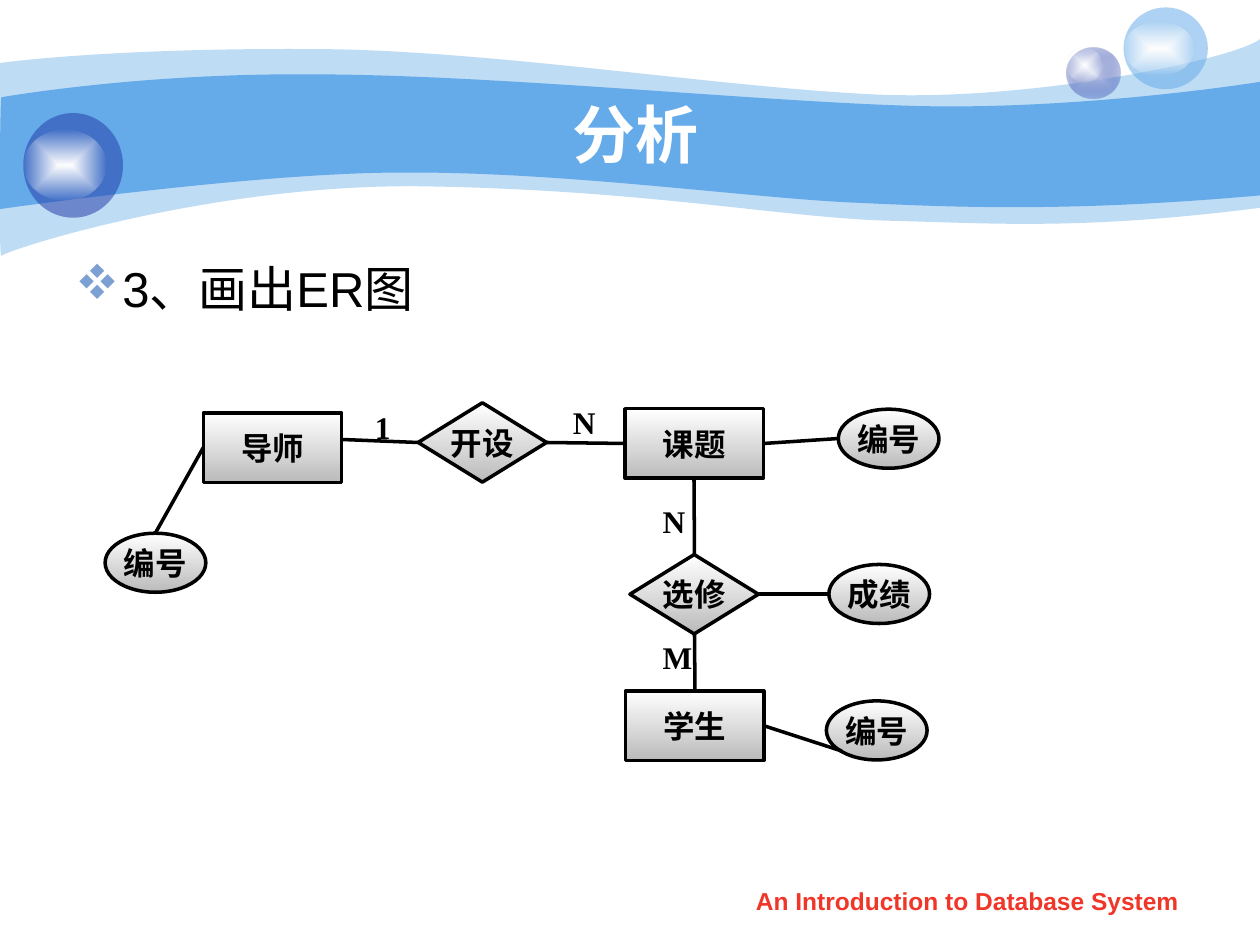
"""Build the slide that draws the ER diagram of tutors, topics and students."""
from dataclasses import dataclass
from typing import Optional

from lxml.etree import SubElement
from pptx import Presentation
from pptx.dml.color import RGBColor
from pptx.enum.shapes import MSO_CONNECTOR, MSO_SHAPE
from pptx.enum.text import MSO_ANCHOR, MSO_AUTO_SIZE, PP_ALIGN
from pptx.oxml.ns import qn
from pptx.util import Cm, Pt

SKY, NAVY, BLACK, WHITE = "65AAE9", "233DA9", "000000", "FFFFFF"
SERIF = "Times New Roman"
LINE_WIDTH = Pt(2)
GLOW = ((WHITE, 100), (WHITE, 0))
NODE_SHADE = ((WHITE, 100), ("BBBBBB", 100))


@dataclass
class Band:
    top: list
    rest: list
    opacity: int


@dataclass
class Bubble:
    box: tuple
    glow_box: tuple
    stops: tuple


@dataclass
class NodeStyle:
    outline: MSO_SHAPE
    width: float
    height: float


@dataclass
class Node:
    label: str
    style: NodeStyle
    left: float
    top: float


@dataclass
class Cardinality:
    label: str
    left: float
    top: float
    width: float


ENTITY = NodeStyle(MSO_SHAPE.RECTANGLE, 2.79, 1.4)
RELATION = NodeStyle(MSO_SHAPE.DIAMOND, 2.59, 1.6)
ATTRIBUTE = NodeStyle(MSO_SHAPE.OVAL, 2.03, 1.19)

BANDS = [
    Band([(0, 1.27), (0.61, 1.19), (2.72, 0.97), (6.27, 0.99), (9.8, 0.99),
          (14.61, 1.78), (17.75, 1.91), (20.88, 2.03), (24.89, 1.19), (25.4, 0.79)],
         [(25.4, 4.19), (21.79, 4.65), (19.99, 4.5), (17.91, 4.45), (15.8, 4.39),
          (13.08, 3.84), (8.71, 3.76), (4.37, 3.66), (0.1, 5.05), (0.03, 5.16),
          (-0.03, 5.28), (0, 1.9), (0, 1.27)], 41),
    Band([(0.03, 1.96), (0.05, 1.96), (2.79, 1.47), (6.3, 1.5), (9.8, 1.5),
          (15.11, 2.03), (18.24, 2.13), (21.36, 2.24), (24.79, 1.75), (25.4, 1.65)],
         [(25.4, 3.94), (21.67, 4.27), (19.43, 4.19), (17.32, 4.09), (15.21, 4.01),
          (11.35, 3.45), (8.05, 3.48), (5.16, 3.48), (-0.05, 4.22), (-0.03, 4.22),
          (0, 4.22), (0, 1.96), (0.03, 1.96)], 100),
]
BUBBLES = [
    Bubble((21.51, 0.97, 1.07, 1.02), (21.51, 0.97, 0.71, 0.69), (("C7CEE9", 100), (NAVY, 31))),
    Bubble((22.65, 0.15, 1.7, 1.65), (22.65, 0.43, 1.42, 1.09), ((SKY, 53),)),
    Bubble((0.47, 2.28, 2.01, 2.11), (0.47, 2.62, 1.68, 1.42), ((NAVY, 53),)),
]
NODES = [
    Node("导师", ENTITY, 4.1, 8.33),
    Node("开设", RELATION, 8.43, 8.12),
    Node("课题", ENTITY, 12.6, 8.24),
    Node("学生", ENTITY, 12.61, 13.93),
    Node("选修", RELATION, 12.7, 11.18),
    Node("成绩", ATTRIBUTE, 16.71, 11.38),
    Node("编号", ATTRIBUTE, 16.66, 14.13),
    Node("编号", ATTRIBUTE, 16.9, 8.25),
    Node("编号", ATTRIBUTE, 2.12, 10.75),
]
LINKS = [
    (6.91, 8.86, 8.43, 8.92),
    (11.02, 8.92, 12.6, 8.94),
    (13.99, 9.65, 14, 11.18),
    (14, 12.78, 14.01, 13.92),
    (3.13, 10.75, 4.1, 9.02),
    (16.9, 8.84, 15.39, 8.94),
    (16.71, 11.97, 15.29, 11.97),
    (16.97, 15.14, 15.4, 14.63),
]
CARDINALITIES = [
    Cardinality("1", 7.31, 8.1, 0.81),
    Cardinality("N", 11.3, 8, 0.97),
    Cardinality("N", 13.11, 9.99, 0.97),
    Cardinality("M", 13.11, 12.74, 1.09),
]


def color(value: str) -> RGBColor:
    return RGBColor.from_string(value)


def add_color(parent, value: str, opacity: int = 100) -> None:
    node = SubElement(parent, qn("a:srgbClr"), val=value)
    if opacity < 100:
        SubElement(node, qn("a:alpha"), val=str(opacity * 1000))


def paint(shape, stops: tuple, radial: bool = True) -> None:
    """Fill with one plain colour, or with a gradient when there are more stops."""
    shape.shadow.inherit = False
    shape.line.fill.background()
    shape.fill.background()
    properties = shape._element.spPr
    fill = SubElement(properties, qn("a:solidFill" if len(stops) == 1 else "a:gradFill"))
    properties.replace(properties.find(qn("a:noFill")), fill)
    if len(stops) == 1:
        add_color(fill, *stops[0])
        return
    stop_list = SubElement(fill, qn("a:gsLst"))
    for index, stop in enumerate(stops):
        position = 100000 * index // (len(stops) - 1)
        add_color(SubElement(stop_list, qn("a:gs"), pos=str(position)), *stop)
    if radial:
        shade = SubElement(fill, qn("a:path"), path="rect")
        SubElement(shade, qn("a:fillToRect"), l="50000", t="50000", r="50000", b="50000")
    else:
        SubElement(fill, qn("a:lin"), ang="5400000", scaled="0")


def write(shape, text: str, *, size: float, font: str = "Arial", ink: str = BLACK,
          bold: bool = False, align: PP_ALIGN = PP_ALIGN.LEFT,
          anchor: MSO_ANCHOR = MSO_ANCHOR.TOP, wrap: bool = True, grow: bool = False,
          bullet: Optional[str] = None, bullet_ink: str = BLACK) -> None:
    frame = shape.text_frame
    frame.word_wrap = wrap
    frame.vertical_anchor = anchor
    if grow:
        frame.auto_size = MSO_AUTO_SIZE.SHAPE_TO_FIT_TEXT
    paragraph = frame.paragraphs[0]
    paragraph.alignment = align
    if bullet:
        properties = paragraph._p.get_or_add_pPr()
        properties.set("marL", str(Cm(0.95)))
        properties.set("indent", str(-Cm(0.95)))
        add_color(SubElement(properties, qn("a:buClr")), bullet_ink)
        SubElement(properties, qn("a:buFont"), typeface="Wingdings", charset="2")
        SubElement(properties, qn("a:buChar"), char=bullet)
    run = paragraph.add_run()
    run.text = text
    run.font.size = Pt(size)
    run.font.name = font
    run.font.bold = bold
    run.font.color.rgb = color(ink)


def add_text(slide, box: tuple, text: str, **style) -> None:
    write(slide.shapes.add_textbox(*map(Cm, box)), text, **style)


def draw_band(slide, band: Band) -> None:
    """Draw two curved edges, joining each three outline points into a Bezier curve."""
    outline = [tuple(map(Cm, point)) for point in band.top + band.rest]
    builder = slide.shapes.build_freeform(*outline[0])
    builder.add_line_segments(outline[1:], close=True)
    shape = builder.convert_to_shape()
    segments = list(shape._element.iter(qn("a:lnTo")))
    edge = len(band.top) - 1
    for side in (segments[:edge], segments[edge + 1:edge + len(band.rest)]):
        for start in range(0, len(side), 3):
            curve = side[start].makeelement(qn("a:cubicBezTo"))
            side[start].addprevious(curve)
            for segment in side[start:start + 3]:
                curve.append(segment[0])
                segment.getparent().remove(segment)
    paint(shape, ((SKY, band.opacity),))


def draw_bubble(slide, bubble: Bubble) -> None:
    group = slide.shapes.add_group_shape()
    for box, stops in ((bubble.box, bubble.stops), (bubble.glow_box, GLOW)):
        paint(group.shapes.add_shape(MSO_SHAPE.OVAL, *map(Cm, box)), stops)


def draw_node(slide, node: Node) -> None:
    style = node.style
    box = map(Cm, (node.left, node.top, style.width, style.height))
    shape = slide.shapes.add_shape(style.outline, *box)
    paint(shape, NODE_SHADE, radial=False)
    shape.line.color.rgb = color(BLACK)
    shape.line.width = LINE_WIDTH
    write(shape, node.label, size=18, font=SERIF, bold=True, wrap=False,
          align=PP_ALIGN.CENTER, anchor=MSO_ANCHOR.MIDDLE)


def draw_link(slide, ends: tuple) -> None:
    link = slide.shapes.add_connector(MSO_CONNECTOR.STRAIGHT, *map(Cm, ends))
    link.line.color.rgb = color(BLACK)
    link.line.width = LINE_WIDTH
    SubElement(link._element.spPr, qn("a:effectLst"))


def main() -> None:
    deck = Presentation()
    deck.slide_width, deck.slide_height = Cm(25.4), Cm(19.05)
    slide = deck.slides.add_slide(deck.slide_layouts[6])
    for band in BANDS:
        draw_band(slide, band)
    for bubble in BUBBLES:
        draw_bubble(slide, bubble)
    add_text(slide, (2.55, 1.91, 20.52, 1.57), "分析", size=36, ink=WHITE, bold=True,
             align=PP_ALIGN.CENTER, anchor=MSO_ANCHOR.MIDDLE)
    add_text(slide, (1.27, 5.08, 22.86, 12.5), "3、画出ER图", size=28,
             bullet="v", bullet_ink="7DA0D3")
    add_text(slide, (14.5, 17.73, 10.01, 0.89), "An Introduction to Database System",
             size=14, ink="F03628", bold=True, align=PP_ALIGN.CENTER)
    for node in NODES:
        draw_node(slide, node)
    for ends in LINKS:
        draw_link(slide, ends)
    for mark in CARDINALITIES:
        add_text(slide, (mark.left, mark.top, mark.width, 1.02), mark.label,
                 size=18, font=SERIF, bold=True, wrap=False, grow=True)
    deck.save("out.pptx")


if __name__ == "__main__":
    main()
